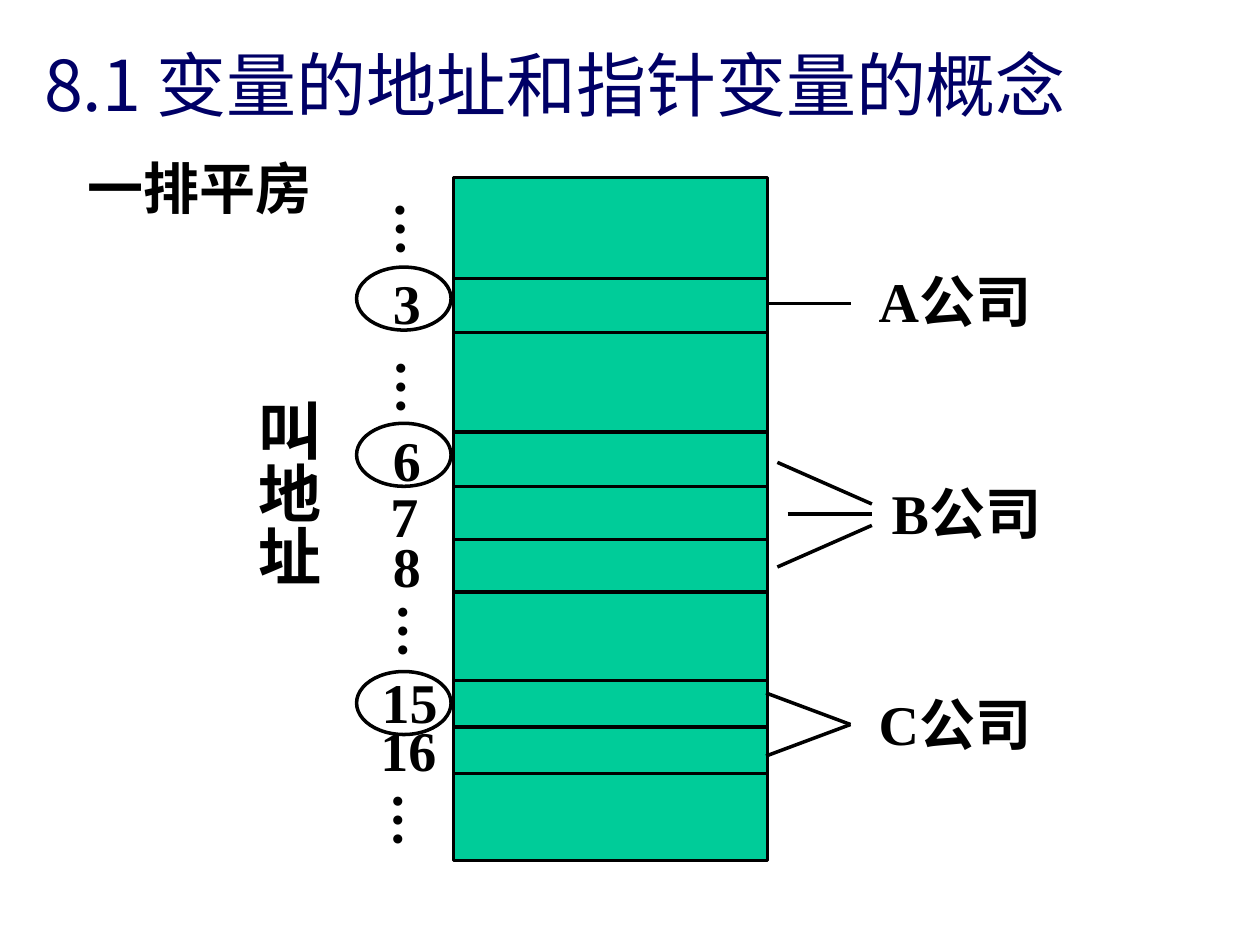
from lxml import etree
from pptx import Presentation
from pptx.dml.color import RGBColor
from pptx.enum.shapes import MSO_CONNECTOR, MSO_SHAPE
from pptx.enum.text import MSO_ANCHOR, MSO_AUTO_SIZE, PP_ALIGN
from pptx.oxml.ns import qn
from pptx.util import Inches, Pt

STRAIGHT = MSO_CONNECTOR.STRAIGHT
RECTANGLE, OVAL = MSO_SHAPE.RECTANGLE, MSO_SHAPE.OVAL
MIDDLE = MSO_ANCHOR.MIDDLE
FIT_SHAPE, NO_FIT = MSO_AUTO_SIZE.SHAPE_TO_FIT_TEXT, MSO_AUTO_SIZE.NONE
LEFT, CENTER = PP_ALIGN.LEFT, PP_ALIGN.CENTER

NAVY = RGBColor(0x00, 0x00, 0x66)
GREEN = RGBColor(0x00, 0xCC, 0x99)
BLACK = RGBColor(0x00, 0x00, 0x00)
LATIN_FONT = "Times New Roman"
CHINESE_FONT = "Noto Sans CJK SC"
LINE_WIDTH = Pt(2)


def format_text(frame, size, color, latin, bold, align):
    paragraph = frame.paragraphs[0]
    paragraph.alignment = align
    paragraph.space_before = Pt(0)
    for run in paragraph.runs:
        run.font.size = Pt(size)
        run.font.bold = bold
        run.font.color.rgb = color
        run.font.name = latin
        east_asian = etree.SubElement(run.font._element, qn("a:ea"))
        east_asian.set("typeface", CHINESE_FONT)


def add_label(shapes, text, left, top, width, height, align=LEFT, size=32):
    label = shapes.add_textbox(Inches(left), Inches(top), Inches(width), Inches(height))
    frame = label.text_frame
    frame.text = text
    frame.word_wrap = True
    frame.auto_size = FIT_SHAPE
    format_text(frame, size, BLACK, LATIN_FONT, True, align)
    return label


def add_line(shapes, x1, y1, x2, y2):
    line = shapes.add_connector(STRAIGHT, Inches(x1), Inches(y1), Inches(x2), Inches(y2))
    line.line.color.rgb = BLACK
    line.line.width = LINE_WIDTH
    etree.SubElement(line._element.spPr, qn("a:effectLst"))


def add_outlined(shapes, kind, left, top, width, height):
    outlined = shapes.add_shape(kind, Inches(left), Inches(top), Inches(width), Inches(height))
    outlined.shadow.inherit = False
    outlined.fill.background()
    outlined.line.color.rgb = BLACK
    outlined.line.width = LINE_WIDTH
    return outlined


def add_heading(slide, left, top, width, height):
    title = slide.shapes.title
    title.left, title.top = Inches(left), Inches(top)
    title.width, title.height = Inches(width), Inches(height)
    frame = title.text_frame
    frame.text = "8.1 变量的地址和指针变量的概念"
    frame.vertical_anchor = MIDDLE
    frame.auto_size = NO_FIT
    format_text(frame, 40, NAVY, CHINESE_FONT, False, LEFT)


def add_houses(slide, left, top, width, height):
    houses = slide.shapes.add_group_shape().shapes
    row = add_outlined(houses, RECTANGLE, left, top, width, height)
    row.fill.solid()
    row.fill.fore_color.rgb = GREEN
    for wall in (0.8, 1.23, 2.02, 2.45, 2.87, 3.29, 3.99, 4.36, 4.73):
        add_line(houses, left, top + wall, left + width, top + wall)


def add_addresses(slide, left, top):
    shapes = slide.shapes
    numbers = (
        ("3", 0.19, 0.87, 0.58), ("6", 0.19, 2.12, 0.58),
        ("7", 0.17, 2.56, 0.58), ("8", 0.19, 2.96, 0.58),
        ("15", 0.1, 4.04, 0.67), ("16", 0.09, 4.42, 0.67),
    )
    for number, dx, dy, width in numbers:
        add_label(shapes, number, left + dx, top + dy, width, 0.63)
    gaps = ((-0.06, 0, 89, CENTER), (-0.06, 1.25, 90, LEFT),
            (-0.04, 3.19, 90, LEFT), (-0.08, 4.69, 90, LEFT))
    for dx, dy, angle, align in gaps:
        ellipsis = add_label(shapes, "…", left + dx, top + dy, 0.58, 1.17, align)
        ellipsis.rotation = angle
    for dy in (0.91, 2.15, 4.12):
        add_outlined(shapes, OVAL, left, top + dy, 0.75, 0.5)


def add_companies(slide, left, top):
    shapes = slide.shapes
    for name, dx, dy, height in (("A公司", 0.75, 0, 1.17), ("B公司", 0.84, 1.68, 0.63),
                                 ("C公司", 0.75, 3.35, 1.17)):
        add_label(shapes, name, left + dx, top + dy, 1.5, height, CENTER)
    links = (
        (0, 0.34, 0.67, 0.34),
        (0.09, 1.6, 0.84, 1.93), (0.17, 2.01, 0.84, 2.01), (0.84, 2.1, 0.09, 2.43),
        (0, 3.43, 0.67, 3.68), (0.67, 3.68, 0, 3.93),
    )
    for x1, y1, x2, y2 in links:
        add_line(shapes, left + x1, top + y1, left + x2, top + y2)


def add_captions(slide, left, top):
    add_label(slide.shapes, "一排平房", left, top, 2.33, 0.63, CENTER)
    address = add_label(slide.shapes, "叫地址", left + 1.41, top + 1.9, 0.8, 1.6, CENTER, 36)
    frame = address.text_frame
    frame.word_wrap = False
    frame.margin_left = frame.margin_right = Inches(0.05)
    frame.margin_top = frame.margin_bottom = Inches(0.1)
    frame._txBody.bodyPr.set("vert", "eaVert")


def main():
    presentation = Presentation()
    presentation.slide_width, presentation.slide_height = Inches(10), Inches(7.5)
    slide = presentation.slides.add_slide(presentation.slide_layouts[5])
    add_heading(slide, 0.25, 0.25, 9.45, 0.83)
    add_houses(slide, 3.6, 1.41, 2.49, 5.42)
    add_addresses(slide, 2.83, 1.21)
    add_companies(slide, 6.08, 2.07)
    add_captions(slide, 0.42, 1.17)
    presentation.save("out.pptx")


if __name__ == "__main__":
    main()
